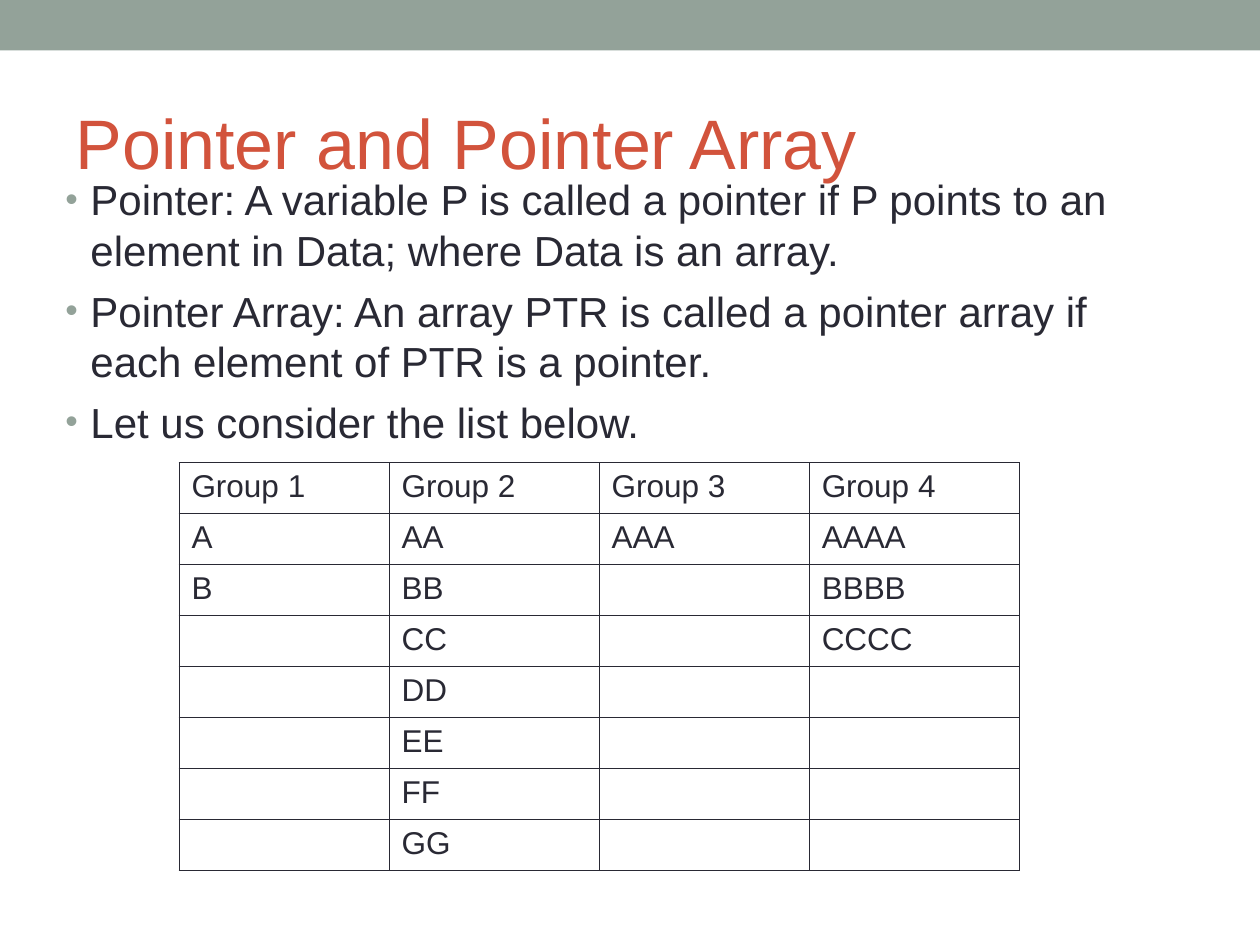
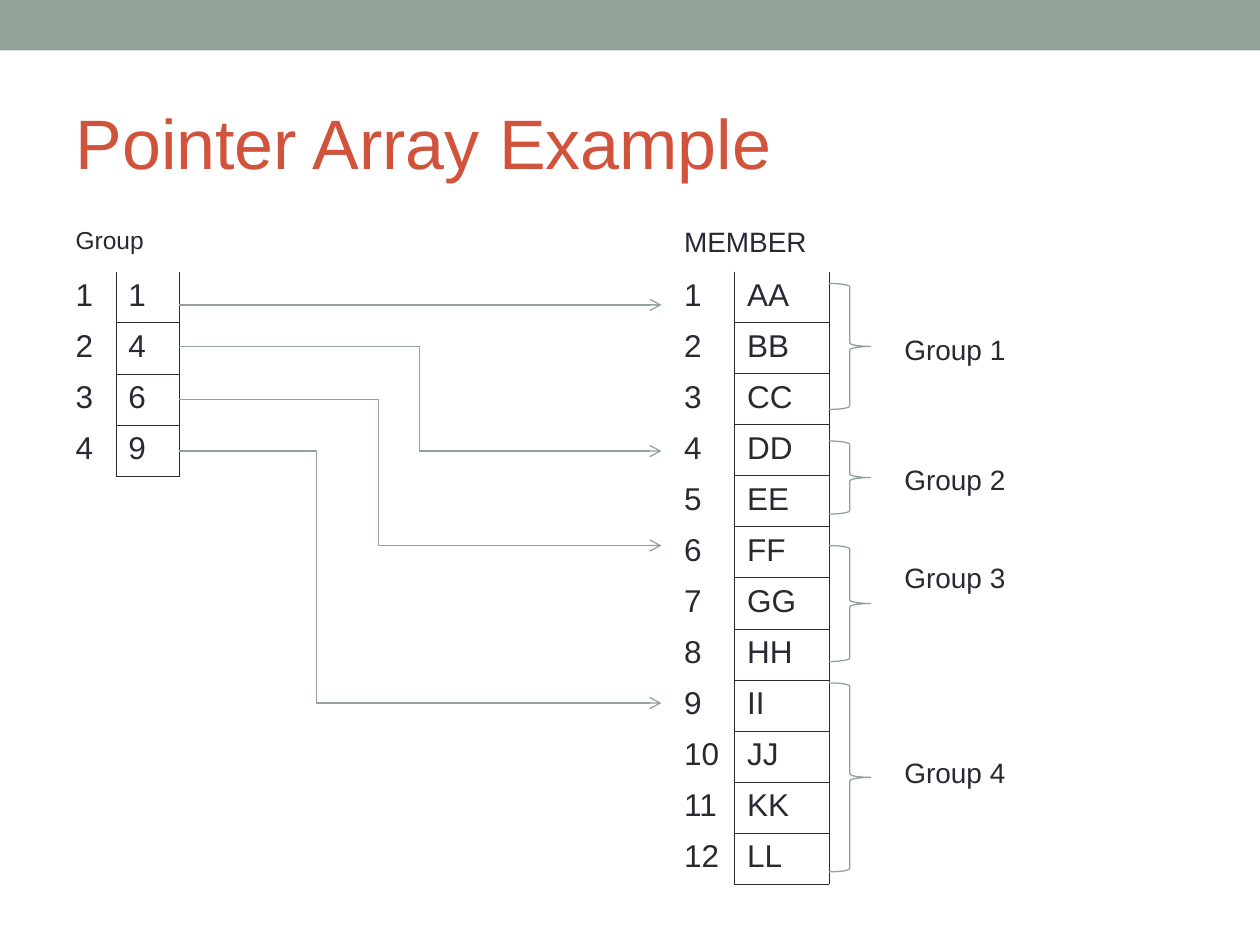
from lxml.etree import SubElement
from pptx import Presentation
from pptx.dml.color import RGBColor
from pptx.enum.shapes import MSO_CONNECTOR, MSO_SHAPE
from pptx.enum.text import MSO_ANCHOR, PP_ALIGN
from pptx.oxml import parse_xml
from pptx.oxml.ns import nsdecls, qn
from pptx.util import Inches, Pt

SAGE = RGBColor(0x93, 0xA2, 0x99)
RUST = RGBColor(0xD2, 0x53, 0x3C)
INK = RGBColor(0x29, 0x29, 0x34)
FONT = "Arial"
PLAIN = "{2D5ABB26-0587-4C30-8999-92F81FD0307C}"

POINTS = [
    "Pointer: A variable P is called a pointer if P points to an element in Data; "
    "where Data is an array.",
    "Pointer Array: An array PTR is called a pointer array if each element of PTR "
    "is a pointer.",
    "Let us consider the list below.",
]
GROUPS = [f"Group {n}" for n in range(1, 5)]
LISTS = ["AB", "ABCDEFG", "A", "ABC"]
STARTS = [1, 4, 6, 9]
MEMBERS = [letter * 2 for letter in "ABCDEFGHIJKL"]


def style(para, size, color=INK):
    for run in para.runs:
        run.font.name = FONT
        run.font.size = Pt(size)
        run.font.color.rgb = color


def start(deck, title):
    """Add a slide with the top band and its title."""
    slide = deck.slides.add_slide(deck.slide_layouts[5])
    band = slide.shapes.add_shape(MSO_SHAPE.RECTANGLE, 0, 0, deck.slide_width, Inches(0.4))
    band.shadow.inherit = False
    band.fill.solid()
    band.fill.fore_color.rgb = SAGE
    band.line.fill.background()

    head = slide.shapes.title
    head.left, head.top = Inches(0.5), Inches(0.58)
    head.width, head.height = Inches(9), Inches(1.08)
    frame = head.text_frame
    frame.text = title
    frame.vertical_anchor = MSO_ANCHOR.MIDDLE
    frame.paragraphs[0].alignment = PP_ALIGN.LEFT
    style(frame.paragraphs[0], 40, RUST)
    return slide


def add_box(slide, left, top, width, height):
    box = slide.shapes.add_textbox(Inches(left), Inches(top), Inches(width), Inches(height))
    box.text_frame.word_wrap = True
    return box.text_frame


def add_points(slide, left, top, width, height):
    frame = add_box(slide, left, top, width, height)
    frame.text = "\n".join(POINTS)
    for i, para in enumerate(frame.paragraphs):
        props = para._p.get_or_add_pPr()
        props.set("marL", str(Inches(0.2)))
        props.set("indent", str(-Inches(0.2)))
        if i:
            para.space_before = Pt(6)
        tint = SubElement(props, qn("a:buClr"))
        SubElement(tint, qn("a:srgbClr"), val=str(SAGE))
        SubElement(props, qn("a:buSzPct"), val="85000")
        SubElement(props, qn("a:buFont"), typeface=FONT)
        SubElement(props, qn("a:buChar"), char="•")
        style(para, 24)


def set_edges(cell, sides):
    """Draw the given sides of a cell, and clear the others."""
    props = cell._tc.get_or_add_tcPr()
    for i, side in enumerate("LRTB"):
        fill = f'<a:solidFill><a:srgbClr val="{INK}"/></a:solidFill>'
        if side not in sides:
            fill = "<a:noFill/>"
        edge = f'<a:ln{side} {nsdecls("a")} w="{Pt(0.45)}">{fill}</a:ln{side}>'
        props.insert(i, parse_xml(edge))


def add_grid(slide, left, top, widths, height, rows, edges, sizes):
    """Add a table; edges and sizes are rules that take row and column."""
    table = slide.shapes.add_table(len(rows), len(widths), Inches(left), Inches(top),
                                   Inches(sum(widths)), Inches(height)).table
    table._tbl.tblPr.find(qn("a:tableStyleId")).text = PLAIN
    table.first_row = table.horz_banding = False
    for col, width in zip(table.columns, widths):
        col.width = Inches(width)
    for r, row in enumerate(rows):
        table.rows[r].height = Inches(height / len(rows))
        for c, text in enumerate(row):
            cell = table.cell(r, c)
            cell.fill.background()
            cell.text = text
            style(cell.text_frame.paragraphs[0], sizes(r))
            set_edges(cell, edges(r, c))
    return table


def add_lists(slide, left, top, width, height):
    """List the members of each group, one column a group."""
    rows = [GROUPS]
    for r in range(max(map(len, LISTS))):
        rows.append([names[r] * (c + 1) if r < len(names) else ""
                     for c, names in enumerate(LISTS)])
    add_grid(slide, left, top, [width / 4] * 4, height, rows,
             lambda r, c: "LRTB", lambda r: 18)


def add_array(slide, left, top, widths, height, name, size, items):
    """Add a named array: bare indexes beside boxed values."""
    rows = [[name, ""]] + [[str(i), str(item)] for i, item in enumerate(items, 1)]

    def edges(r, c):
        if r == 0:
            return ""
        if c == 0:
            return "R"
        return "LRB" if r == 1 else "LRTB"

    table = add_grid(slide, left, top, widths, height, rows, edges,
                     lambda r: 18 if r else size)
    table.cell(0, 0).merge(table.cell(0, 1))


def add_braces(slide, left, top, spans):
    for drop, height in spans:
        brace = slide.shapes.add_shape(MSO_SHAPE.RIGHT_BRACE, Inches(left),
                                       Inches(top + drop), Inches(0.33), Inches(height))
        brace.shadow.inherit = False
        brace.fill.background()
        brace.line.color.rgb = SAGE
        brace.line.width = Pt(0.75)


def add_labels(slide, left, top, width, height):
    frame = add_box(slide, left, top, width, height)
    frame.margin_top = Inches(0.56)
    frame.text = "\n".join(GROUPS)
    for para, lines in zip(frame.paragraphs, [0, 3, 2, 5]):
        if lines:
            para.space_before = Pt(18.4 * lines)
        style(para, 16)


def add_arrow(slide, left, right, start_y, end_y, bend):
    kind = MSO_CONNECTOR.STRAIGHT if start_y == end_y else MSO_CONNECTOR.ELBOW
    arrow = slide.shapes.add_connector(kind, Inches(left), Inches(start_y),
                                       Inches(right), Inches(end_y))
    arrow.line.color.rgb = SAGE
    arrow.line.width = Pt(0.75)
    props = arrow._element.spPr
    SubElement(props.find(qn("a:ln")), qn("a:tailEnd"), type="arrow")
    SubElement(props, qn("a:effectLst"))
    if start_y != end_y:
        guides = props.find(qn("a:prstGeom")).get_or_add_avLst()
        ratio = round((bend - left) / (right - left) * 100000)
        SubElement(guides, qn("a:gd"), name="adj1", fmla=f"val {ratio}")


def add_arrows(slide, left, top, right):
    """Link each group pointer to its first member."""
    routes = [(0, 0, 0), (0.33, 1.16, 3.33), (0.75, 1.91, 3), (1.16, 3.16, 2.51)]
    for start_y, end_y, bend in routes:
        add_arrow(slide, left, right, top + start_y, top + end_y, bend)


def add_intro(deck):
    slide = start(deck, "Pointer and Pointer Array")
    add_points(slide, 0.42, 1.33, 9, 5.75)
    add_lists(slide, 1.42, 3.67, 6.67, 3.24)


def add_example(deck):
    slide = start(deck, "Pointer Array Example")
    add_array(slide, 0.5, 1.75, [0.42, 0.5], 2.03, "Group", 14, STARTS)
    add_array(slide, 5.33, 1.75, [0.5, 0.75], 5.27, "MEMBER", 16, MEMBERS)
    add_braces(slide, 6.58, 2.25, [(0, 1), (1.25, 0.58), (2.08, 0.92), (3.17, 1.5)])
    add_labels(slide, 7.08, 2.08, 1.08, 4.37)
    add_arrows(slide, 1.42, 2.42, 5.25)


def main():
    deck = Presentation()
    deck.slide_width, deck.slide_height = Inches(10), Inches(7.5)
    add_intro(deck)
    add_example(deck)
    deck.save("out.pptx")


if __name__ == "__main__":
    main()
